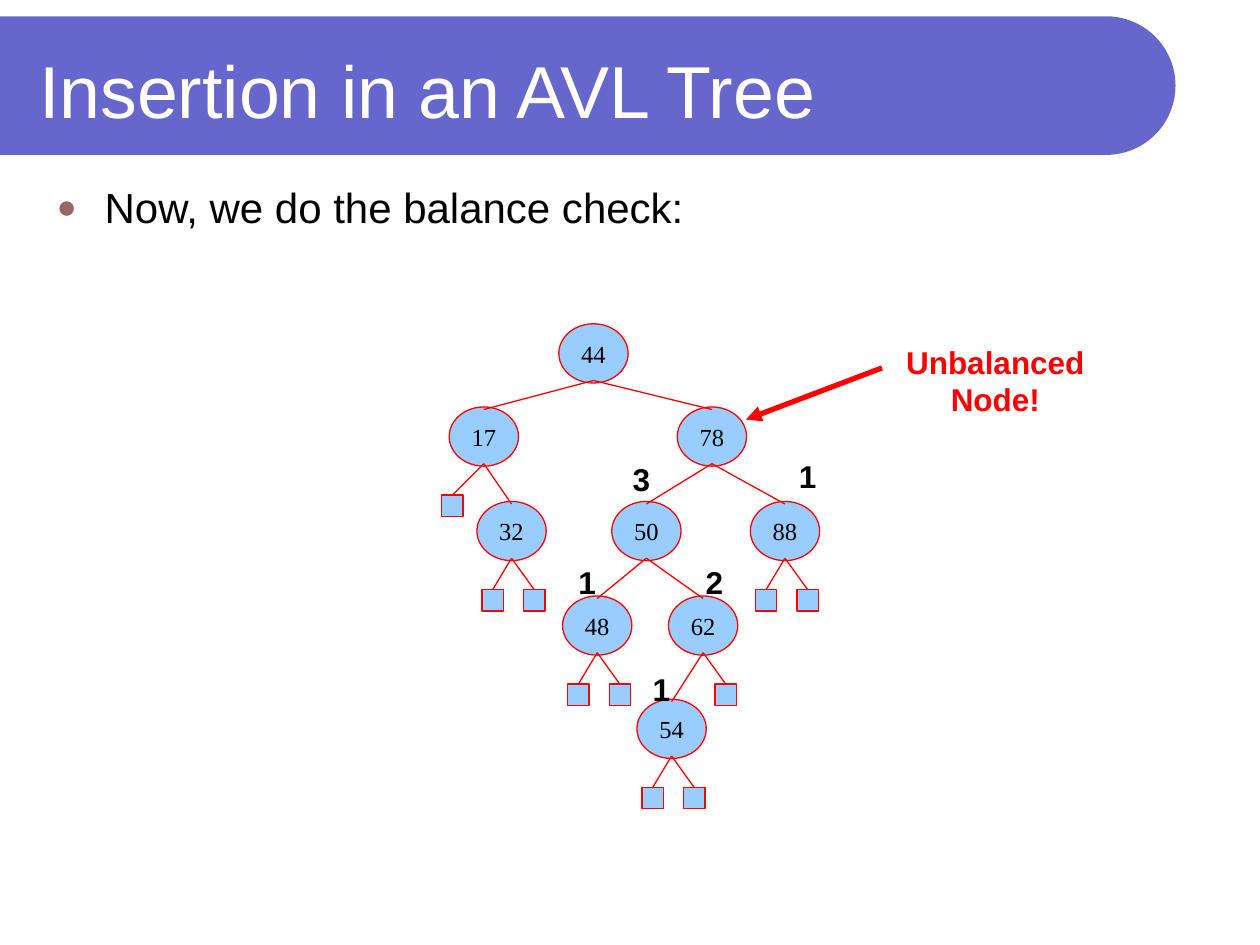
from math import cos, pi, sin

from lxml import etree
from pptx import Presentation
from pptx.dml.color import RGBColor
from pptx.enum.shapes import MSO_CONNECTOR, MSO_SHAPE
from pptx.enum.text import MSO_ANCHOR, MSO_AUTO_SIZE, PP_ALIGN
from pptx.oxml.ns import qn
from pptx.util import Inches, Pt

OVAL, SQUARE = MSO_SHAPE.OVAL, MSO_SHAPE.RECTANGLE
STRAIGHT = MSO_CONNECTOR.STRAIGHT
LEFT, CENTER = PP_ALIGN.LEFT, PP_ALIGN.CENTER
TOP, MIDDLE = MSO_ANCHOR.TOP, MSO_ANCHOR.MIDDLE
NO_AUTOFIT = MSO_AUTO_SIZE.NONE

COLORS = {
    "banner": "6666CC", "title": "FFFFFF", "text": "000000",
    "bullet": "996666", "node": "99CCFF", "accent": "FF0000",
}

TITLE = "Insertion in an AVL Tree"
BODY = "Now, we do the balance check:"
WARNING = "Unbalanced Node!"

# Key: (centre x, top)
NODES = {
    44: (4.71, 2.57),
    17: (3.84, 3.23), 78: (5.65, 3.23),
    32: (4.06, 3.98), 50: (5.13, 3.98), 88: (6.23, 3.98),
    48: (4.74, 4.73), 62: (5.58, 4.73),
    54: (5.33, 5.55),
}
BRANCHES = [(44, 17), (44, 78), (17, 32), (78, 50), (78, 88),
            (50, 48), (50, 62), (62, 54)]
# Empty children: (parent, horizontal offset of the leaf's centre)
LEAF_LEFT, LEAF_RIGHT = -0.15, 0.18
LEAVES = [(17, -0.25), (62, LEAF_RIGHT)] + [
    (key, offset) for key in (32, 48, 88, 54) for offset in (LEAF_LEFT, LEAF_RIGHT)]
# Subtree heights: (text, left, top)
HEIGHTS = [("1", 5.08, 5.27), ("2", 5.5, 4.42), ("1", 4.49, 4.42),
           ("3", 4.92, 3.6), ("1", 6.24, 3.58)]

NODE_WIDTH, NODE_HEIGHT = 0.55, 0.47
LEAF_SIZE, LEAF_DROP = 0.17, 0.7
EDGE_OVERLAP = 0.02


def color(name):
    return RGBColor.from_string(COLORS[name])


def write(shape, text, size, color_name, font="Arial", bold=False,
          align=CENTER, anchor=TOP, wrap=True):
    frame = shape.text_frame
    frame.text = text
    frame.auto_size = NO_AUTOFIT
    frame.word_wrap = wrap
    frame.vertical_anchor = anchor
    paragraph = frame.paragraphs[0]
    paragraph.alignment = align
    paragraph.font.name = font
    paragraph.font.size = Pt(size)
    paragraph.font.bold = bold
    paragraph.font.color.rgb = color(color_name)
    return paragraph


def place(shape, left, top, width, height):
    shape.left, shape.top = Inches(left), Inches(top)
    shape.width, shape.height = Inches(width), Inches(height)


def add_banner(slide):
    """Bar with a half-round right end, behind the title."""
    top, height, straight_end = 0.13, 1.1, 8.78
    radius, steps = height / 2, 48
    angles = [-pi / 2 + pi * step / steps for step in range(steps + 1)]
    arc = [(straight_end + radius * cos(angle), top + radius + radius * sin(angle))
           for angle in angles]
    builder = slide.shapes.build_freeform(0, Inches(top))
    builder.add_line_segments(
        [(Inches(x), Inches(y)) for x, y in arc + [(0, top + height)]], close=True)
    banner = builder.convert_to_shape()
    banner.shadow.inherit = False
    banner.fill.solid()
    banner.fill.fore_color.rgb = color("banner")
    banner.line.fill.background()
    slide.shapes.title._element.addprevious(banner._element)


def add_title_and_body(slide):
    title, body = slide.shapes.title, slide.placeholders[1]
    place(title, 0.21, 0.21, 8.77, 1)
    write(title, TITLE, 42, "title", align=LEFT, anchor=MIDDLE)
    place(body, 0.35, 1.39, 9.29, 5.75)
    paragraph = write(body, BODY, 24, "text", align=LEFT)
    paragraph.space_before = Pt(6)
    properties = paragraph._p.get_or_add_pPr()
    properties.set("marL", str(Inches(0.38)))
    properties.set("indent", str(Inches(-0.38)))
    bullet = [etree.Element(qn(f"a:{tag}")) for tag in ("buClr", "buSzPct", "buFont", "buChar")]
    etree.SubElement(bullet[0], qn("a:srgbClr"), val=COLORS["bullet"])
    bullet[1].set("val", "80000")
    bullet[2].set("typeface", "Arial")
    bullet[3].set("char", "●")
    properties.find(qn("a:spcBef")).addnext(bullet[0])
    for previous, element in zip(bullet, bullet[1:]):
        previous.addnext(element)


def add_tree_shape(slide, kind, center, top, width, height):
    shape = slide.shapes.add_shape(
        kind, Inches(center - width / 2), Inches(top), Inches(width), Inches(height))
    shape.shadow.inherit = False
    shape.fill.solid()
    shape.fill.fore_color.rgb = color("node")
    shape.line.color.rgb = color("accent")
    shape.line.width = Pt(0.75)
    return shape


def add_line(slide, start, end, width=0.75):
    line = slide.shapes.add_connector(STRAIGHT, *map(Inches, start + end))
    line.line.color.rgb = color("accent")
    line.line.width = Pt(width)
    etree.SubElement(line._element.spPr, qn("a:effectLst"))
    return line


def bottom_of(key):
    center, top = NODES[key]
    return center, top + NODE_HEIGHT - EDGE_OVERLAP


def add_tree(slide):
    for key, (center, top) in NODES.items():
        node = add_tree_shape(slide, OVAL, center, top, NODE_WIDTH, NODE_HEIGHT)
        write(node, str(key), 14, "text", font="Times New Roman", anchor=MIDDLE, wrap=False)
    for parent, child in BRANCHES:
        center, top = NODES[child]
        add_line(slide, bottom_of(parent), (center, top + EDGE_OVERLAP))
    for parent, offset in LEAVES:
        center, top = NODES[parent]
        leaf_top = (center + offset, top + LEAF_DROP)
        add_tree_shape(slide, SQUARE, *leaf_top, LEAF_SIZE, LEAF_SIZE)
        add_line(slide, bottom_of(parent), leaf_top)


def add_label(slide, text, left, top, width, height, color_name):
    box = slide.shapes.add_textbox(*map(Inches, (left, top, width, height)))
    return write(box, text, 18, color_name, bold=True)


def add_annotations(slide):
    for text, left, top in HEIGHTS:
        add_label(slide, text, left, top, 0.34, 0.4, "text")
    arrow = add_line(slide, (7, 2.92), (5.92, 3.33), width=3)
    etree.SubElement(arrow.line._get_or_add_ln(), qn("a:tailEnd"), type="triangle")
    warning = add_label(slide, WARNING, 6.83, 2.67, 2.14, 0.7, "accent")
    warning.space_before = Pt(11.2)


def main():
    presentation = Presentation()
    presentation.slide_width, presentation.slide_height = Inches(10), Inches(7.5)
    slide = presentation.slides.add_slide(presentation.slide_layouts[1])
    add_banner(slide)
    add_title_and_body(slide)
    add_tree(slide)
    add_annotations(slide)
    presentation.save("out.pptx")


if __name__ == "__main__":
    main()
